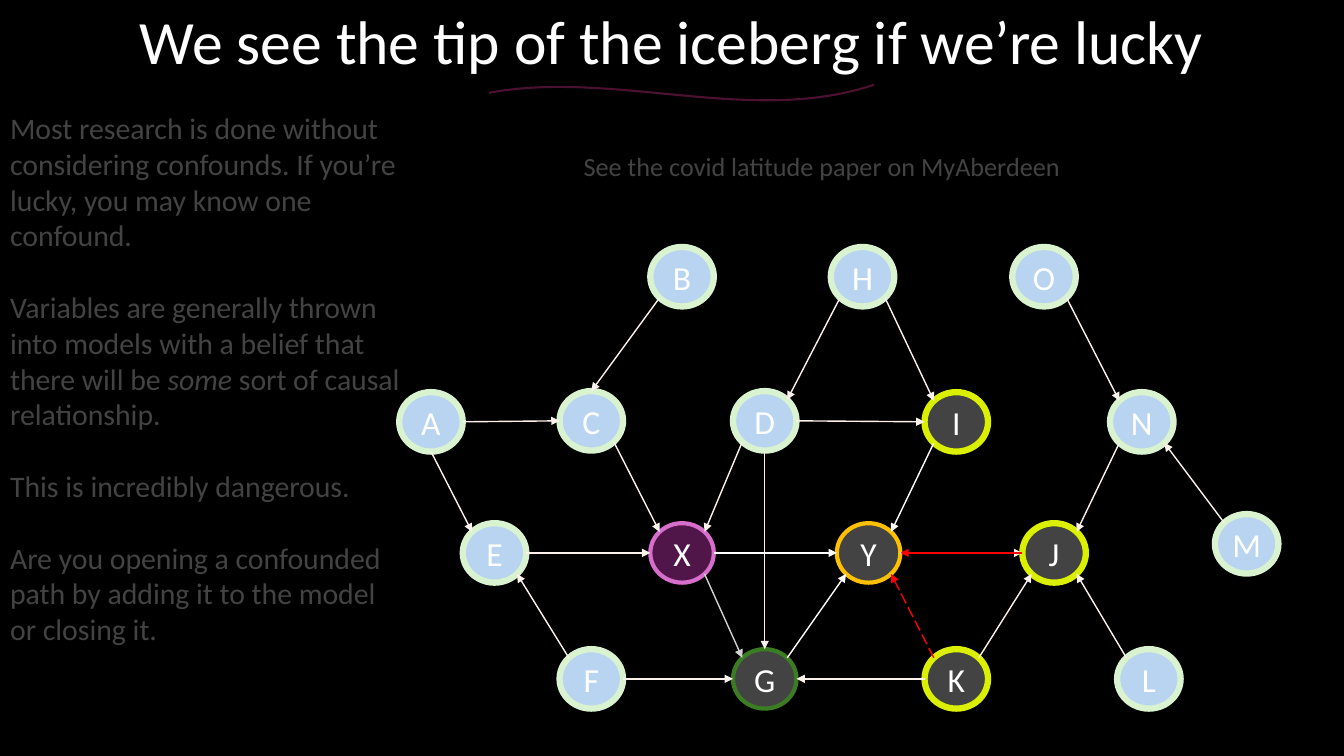
from dataclasses import dataclass

from lxml.etree import SubElement
from pptx import Presentation
from pptx.dml.color import RGBColor
from pptx.enum.dml import MSO_LINE
from pptx.enum.shapes import MSO_CONNECTOR, MSO_SHAPE
from pptx.enum.text import MSO_ANCHOR, MSO_AUTO_SIZE, PP_ALIGN
from pptx.oxml.ns import qn
from pptx.slide import Slide
from pptx.text.text import TextFrame, _Paragraph
from pptx.util import Inches, Pt

OVAL = MSO_SHAPE.OVAL
STRAIGHT = MSO_CONNECTOR.STRAIGHT
LONG_DASH = MSO_LINE.LONG_DASH
TOP, MIDDLE = MSO_ANCHOR.TOP, MSO_ANCHOR.MIDDLE
LEFT, CENTER = PP_ALIGN.LEFT, PP_ALIGN.CENTER
NO_AUTOFIT = MSO_AUTO_SIZE.NONE


@dataclass(frozen=True)
class Theme:
    font: str = "Calibri"
    background: str = "000000"
    white: str = "FFFFFF"
    muted: str = "434343"
    swoosh: str = "4C1130"
    arrow: str = "FDF1EB"
    faint_arrow: str = "D1D1D1"
    bias: str = "FF0000"
    variable: str = "B8D4F0"
    variable_ring: str = "D9F2D0"
    confound_ring: str = "DBF000"
    collider_ring: str = "3B7D23"
    outcome_ring: str = "FFC000"
    exposure: str = "501649"
    exposure_ring: str = "D86ECC"
    title_size: float = 44
    node_size: float = 24
    body_size: float = 21.3
    note_size: float = 18.7
    paragraph_gap: float = 25.6


THEME = Theme()
NODE_WIDTH, NODE_HEIGHT = 0.63, 0.59
DIAGONAL = 0.5 ** 0.5


@dataclass(frozen=True)
class Node:
    name: str
    left: float
    top: float
    fill: str = THEME.variable
    ring: str = THEME.variable_ring
    ring_width: float = 4.5

    def site(self, side: str) -> tuple[float, float]:
        """Point on the ring for a compass side such as 'n' or 'se'."""
        across = ("e" in side) - ("w" in side)
        down = ("s" in side) - ("n" in side)
        reach = DIAGONAL if across and down else 1
        return (self.left + NODE_WIDTH / 2 * (1 + across * reach),
                self.top + NODE_HEIGHT / 2 * (1 + down * reach))


@dataclass(frozen=True)
class Edge:
    cause: str
    cause_side: str
    effect: str
    effect_side: str
    color: str = THEME.arrow
    dashed: bool = False


ROW_1, ROW_2, ROW_3, ROW_4 = 2.45, 3.89, 5.19, 6.44
NODES = [
    Node("B", 6.45, ROW_1), Node("H", 8.24, ROW_1), Node("O", 10.04, ROW_1),
    Node("A", 3.96, ROW_2), Node("C", 5.55, 3.88), Node("D", 7.27, 3.88),
    Node("I", 9.17, ROW_2, THEME.muted, THEME.confound_ring),
    Node("N", 11.01, ROW_2),
    Node("E", 4.59, ROW_3),
    Node("X", 6.45, ROW_3, THEME.exposure, THEME.exposure_ring, 3),
    Node("Y", 8.3, ROW_3, THEME.muted, THEME.outcome_ring, 3),
    Node("J", 10.14, ROW_3, THEME.muted, THEME.confound_ring),
    Node("M", 12.05, 5.1),
    Node("F", 5.55, ROW_4),
    Node("G", 7.27, ROW_4, THEME.muted, THEME.collider_ring, 3),
    Node("K", 9.17, ROW_4, THEME.muted, THEME.confound_ring),
    Node("L", 11.08, ROW_4),
]
EDGES = [
    Edge("B", "sw", "C", "n"), Edge("H", "sw", "D", "ne"),
    Edge("H", "se", "I", "nw"), Edge("O", "se", "N", "nw"),
    Edge("A", "e", "C", "w"), Edge("A", "s", "E", "nw"),
    Edge("C", "se", "X", "nw"), Edge("D", "sw", "X", "ne"),
    Edge("D", "s", "G", "n"), Edge("D", "e", "I", "w"),
    Edge("I", "sw", "Y", "ne", THEME.white), Edge("N", "sw", "J", "ne"),
    Edge("M", "nw", "N", "se"), Edge("E", "e", "X", "w"),
    Edge("X", "e", "Y", "w", THEME.white),
    Edge("X", "se", "G", "nw", THEME.faint_arrow),
    Edge("F", "nw", "E", "se"), Edge("F", "e", "G", "w"),
    Edge("G", "ne", "Y", "sw", THEME.white), Edge("K", "w", "G", "e"),
    Edge("K", "ne", "J", "sw"), Edge("L", "nw", "J", "se"),
    Edge("Y", "e", "J", "w"), Edge("J", "w", "Y", "e", THEME.bias),
    Edge("K", "nw", "Y", "se", THEME.bias, True),
]
# Each paragraph is a list of (text, italic) runs
ADVICE = [
    [("Most research is done without considering confounds. "
      "If you’re lucky, you may know one confound.", False)],
    [("Variables are generally thrown into models with a belief that "
      "there will be ", False), ("some", True),
     (" sort of causal relationship.", False)],
    [("This is incredibly dangerous.", False)],
    [("Are you opening a confounded path by adding it to the model "
      "or closing it.", False)],
]


def rgb(color: str) -> RGBColor:
    return RGBColor.from_string(color)


def write(paragraph: _Paragraph, text: str, *, size: float,
          color: str = THEME.muted, italic: bool = False,
          align: PP_ALIGN = LEFT) -> None:
    paragraph.alignment = align
    run = paragraph.add_run()
    run.text = text
    run.font.name, run.font.size = THEME.font, Pt(size)
    run.font.color.rgb = rgb(color)
    run.font.italic = italic


def set_frame(frame: TextFrame, anchor: MSO_ANCHOR, across: float, down: float) -> None:
    frame.word_wrap, frame.auto_size = True, NO_AUTOFIT
    frame.vertical_anchor = anchor
    frame.margin_left = frame.margin_right = Inches(across)
    frame.margin_top = frame.margin_bottom = Inches(down)


def place(shape, left: float, top: float, width: float, height: float) -> None:
    shape.left, shape.top = Inches(left), Inches(top)
    shape.width, shape.height = Inches(width), Inches(height)


def draw_swoosh(slide: Slide) -> None:
    start, bend_up, bend_down, end = (4.85, 0.92), (6.1, 0.69), (7.46, 1.25), (8.67, 0.84)
    steps = 40
    points = []
    for step in range(steps + 1):
        t = step / steps
        weights = ((1 - t) ** 3, 3 * t * (1 - t) ** 2, 3 * t * t * (1 - t), t ** 3)
        points.append(tuple(
            Inches(sum(w * p[axis] for w, p in zip(weights, (start, bend_up, bend_down, end))))
            for axis in (0, 1)))
    builder = slide.shapes.build_freeform(*points[0])
    builder.add_line_segments(points[1:], close=False)
    swoosh = builder.convert_to_shape()
    swoosh.shadow.inherit = False
    swoosh.fill.background()
    swoosh.line.color.rgb = rgb(THEME.swoosh)
    swoosh.line.width = Pt(1.5)


def draw_node(slide: Slide, node: Node) -> None:
    circle = slide.shapes.add_shape(OVAL, Inches(node.left), Inches(node.top),
                                    Inches(NODE_WIDTH), Inches(NODE_HEIGHT))
    circle.shadow.inherit = False
    circle.fill.solid()
    circle.fill.fore_color.rgb = rgb(node.fill)
    circle.line.color.rgb = rgb(node.ring)
    circle.line.width = Pt(node.ring_width)
    set_frame(circle.text_frame, MIDDLE, 0, 0)
    write(circle.text_frame.paragraphs[0], node.name, size=THEME.node_size,
          color=THEME.white, align=CENTER)


def draw_edge(slide: Slide, edge: Edge, nodes: dict[str, Node]) -> None:
    ends = (*nodes[edge.cause].site(edge.cause_side),
            *nodes[edge.effect].site(edge.effect_side))
    arrow = slide.shapes.add_connector(STRAIGHT, *map(Inches, ends))
    arrow.line.color.rgb = rgb(edge.color)
    arrow.line.width = Pt(1)
    if edge.dashed:
        arrow.line.dash_style = LONG_DASH
    properties = arrow._element.spPr
    SubElement(properties.find(qn("a:ln")), qn("a:tailEnd"), type="triangle")
    SubElement(properties, qn("a:effectLst"))


def main() -> None:
    deck = Presentation()
    deck.slide_width, deck.slide_height = Inches(13.33), Inches(7.5)
    slide = deck.slides.add_slide(deck.slide_layouts[1])
    slide.background.fill.solid()
    slide.background.fill.fore_color.rgb = rgb(THEME.background)

    # Title and its underline
    title = slide.shapes.title
    place(title, 0, 0.01, 13.33, 1.47)
    set_frame(title.text_frame, TOP, 0.1, 0.1)
    headline = title.text_frame.paragraphs[0]
    headline.line_spacing = 0.9
    write(headline, "We see the tip of the iceberg if we’re lucky",
          size=THEME.title_size, color=THEME.white, align=CENTER)
    draw_swoosh(slide)

    # Advice on the left
    advice = slide.placeholders[1]
    place(advice, 0, 1.04, 4.11, 5.49)
    set_frame(advice.text_frame, TOP, 0.1, 0.05)
    for index, runs in enumerate(ADVICE):
        paragraph = (advice.text_frame.add_paragraph() if index
                     else advice.text_frame.paragraphs[0])
        layout = paragraph._p.get_or_add_pPr()
        layout.set("marL", "0")
        layout.set("indent", "0")
        SubElement(layout, qn("a:buNone"))
        paragraph.space_before = Pt(THEME.paragraph_gap if index else 0)
        for text, italic in runs:
            write(paragraph, text, size=THEME.body_size, italic=italic)

    # Reading note
    note = slide.shapes.add_textbox(Inches(5.69), Inches(1.44), Inches(5.39), Inches(0.42))
    set_frame(note.text_frame, TOP, 0.1, 0.05)
    write(note.text_frame.paragraphs[0], "See the covid latitude paper on MyAberdeen",
          size=THEME.note_size)

    # Causal diagram
    for node in NODES:
        draw_node(slide, node)
    nodes = {node.name: node for node in NODES}
    for edge in EDGES:
        draw_edge(slide, edge, nodes)

    deck.save("out.pptx")


if __name__ == "__main__":
    main()
